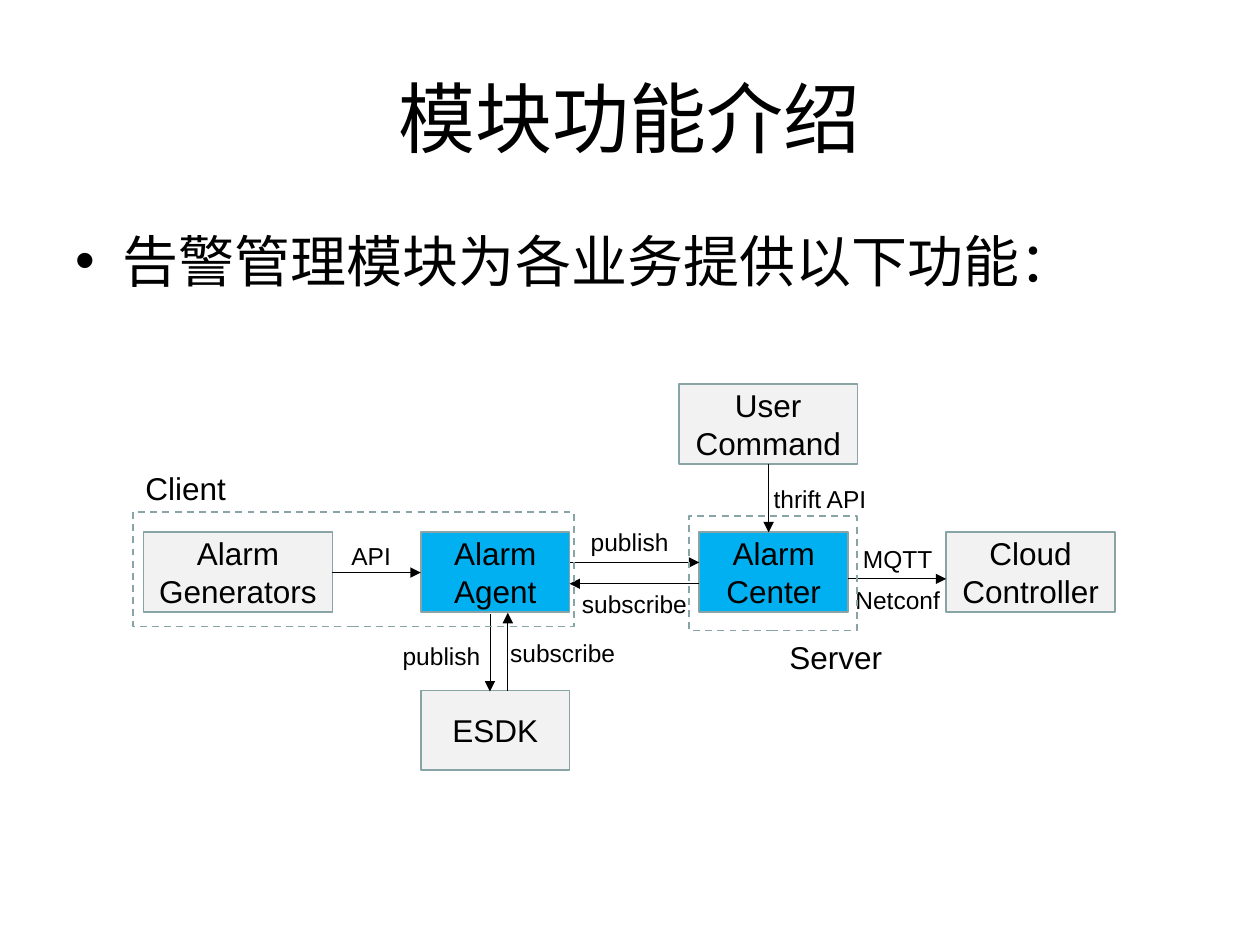
from dataclasses import dataclass

from pptx import Presentation
from pptx.dml.color import RGBColor
from pptx.enum.dml import MSO_LINE
from pptx.enum.shapes import MSO_CONNECTOR, MSO_SHAPE
from pptx.enum.text import MSO_ANCHOR, PP_ALIGN
from pptx.oxml.ns import qn
from pptx.util import Pt
from lxml.etree import SubElement


@dataclass(frozen=True)
class Theme:
    font: str = "Arial"
    ink: str = "000000"
    pale: str = "F2F2F2"
    blue: str = "00B0F0"
    edge: str = "89A4A7"
    title: float = 44
    body: float = 32
    node: float = 18
    label: float = 14


THEME = Theme()


def color(code):
    return RGBColor.from_string(code)


def write(frame, text, size=THEME.node, align=PP_ALIGN.LEFT, anchor=MSO_ANCHOR.TOP):
    frame.word_wrap = True
    frame.vertical_anchor = anchor
    frame.text = text
    for line in frame.paragraphs:
        line.alignment = align
        line.space_before = Pt(0)
        for run in line.runs:
            run.font.name = THEME.font
            run.font.size = Pt(size)
            run.font.color.rgb = color(THEME.ink)


def place(shape, box):
    shape.left, shape.top, shape.width, shape.height = map(Pt, box)


def add_title(slide, box, text):
    title = slide.shapes.title
    place(title, box)
    write(title.text_frame, text, size=THEME.title,
          align=PP_ALIGN.CENTER, anchor=MSO_ANCHOR.MIDDLE)


def add_list(slide, box, text):
    body = slide.placeholders[1]
    place(body, box)
    write(body.text_frame, text, size=THEME.body)


def add_rect(slide, box, fill=None, dash=None):
    rect = slide.shapes.add_shape(MSO_SHAPE.RECTANGLE, *map(Pt, box))
    rect.shadow.inherit = False
    if fill:
        rect.fill.solid()
        rect.fill.fore_color.rgb = color(fill)
    else:
        rect.fill.background()
    rect.line.color.rgb = color(THEME.edge)
    rect.line.width = Pt(1)
    if dash:
        rect.line.dash_style = dash
    return rect


def add_node(slide, box, text, fill):
    rect = add_rect(slide, box, fill)
    write(rect.text_frame, text, align=PP_ALIGN.CENTER, anchor=MSO_ANCHOR.MIDDLE)


def add_label(slide, box, text, size):
    label = slide.shapes.add_textbox(*map(Pt, box))
    write(label.text_frame, text, size=size)


def add_arrow(slide, start, end):
    arrow = slide.shapes.add_connector(MSO_CONNECTOR.STRAIGHT, *map(Pt, start + end))
    arrow.line.color.rgb = color(THEME.ink)
    arrow.line.width = Pt(0.5)
    SubElement(arrow.line._get_or_add_ln(), qn("a:tailEnd"), type="triangle")
    SubElement(arrow._element.spPr, qn("a:effectLst"))


def add_flow(slide, box):
    left, top, width, height = box
    high, row, low = 45.4, 84.6, height - 45.4
    agent, center, far, wide = 164.5, 323.6, 464.7, 85

    nodes = [
        (6, row, 108, "Alarm\nGenerators", THEME.pale),
        (agent, row, wide, "Alarm\nAgent", THEME.blue),
        (center, row, wide, "Alarm\nCenter", THEME.blue),
        (far, row, width - far, "Cloud\nController", THEME.pale),
        (agent, low, wide, "ESDK", THEME.pale),
        (312, 0, 102, "User\nCommand", THEME.pale),
    ]
    for x, y, w, text, fill in nodes:
        add_node(slide, (left + x, top + y, w, high), text, fill)

    arrows = [
        (114, 107.6, agent, 107.6),
        (agent + wide, 101.8, center, 101.8),
        (center, 114, agent + wide, 114),
        (center + wide, 111.2, far, 111.2),
        (204, 131.4, 204, low + 0.6),
        (214.2, low, 214.2, 130.6),
        (363.2, high, 363.2, row),
    ]
    for x, y, end, foot in arrows:
        add_arrow(slide, (left + x, top + y), (left + end, top + foot))

    labels = [
        (117.7, 86, 42, "API"),
        (254.5, 78, 64, "publish"),
        (249.4, 113.4, 85, "subscribe"),
        (410, 88, 61, "MQTT"),
        (405.7, 111.4, 70.5, "Netconf"),
        (147, 143, 64, "publish"),
        (208.4, 141.4, 76, "subscribe"),
        (359, 53.6, 77, "thrift API"),
    ]
    for x, y, w, text in labels:
        add_label(slide, (left + x, top + y, w, 24.5), text, THEME.label)

    zones = [
        (0, 73, 252, "Client", 0, 45),
        (317.8, 75.2, 95.8, "Server", 368, 141.4),
    ]
    for x, y, w, text, side, head in zones:
        add_rect(slide, (left + x, top + y, w, 65.5), dash=MSO_LINE.DASH)
        add_label(slide, (left + side, top + head, 74, 29), text, THEME.node)


def main():
    deck = Presentation()
    deck.slide_width, deck.slide_height = Pt(720), Pt(540)
    slide = deck.slides.add_slide(deck.slide_layouts[1])
    add_title(slide, (36, 21.6, 648, 90), "模块功能介绍")
    add_list(slide, (36, 126, 648, 356.4), "告警管理模块为各业务提供以下功能：")
    add_flow(slide, (76, 219.6, 561.2, 220.4))
    deck.save("out.pptx")


if __name__ == "__main__":
    main()
